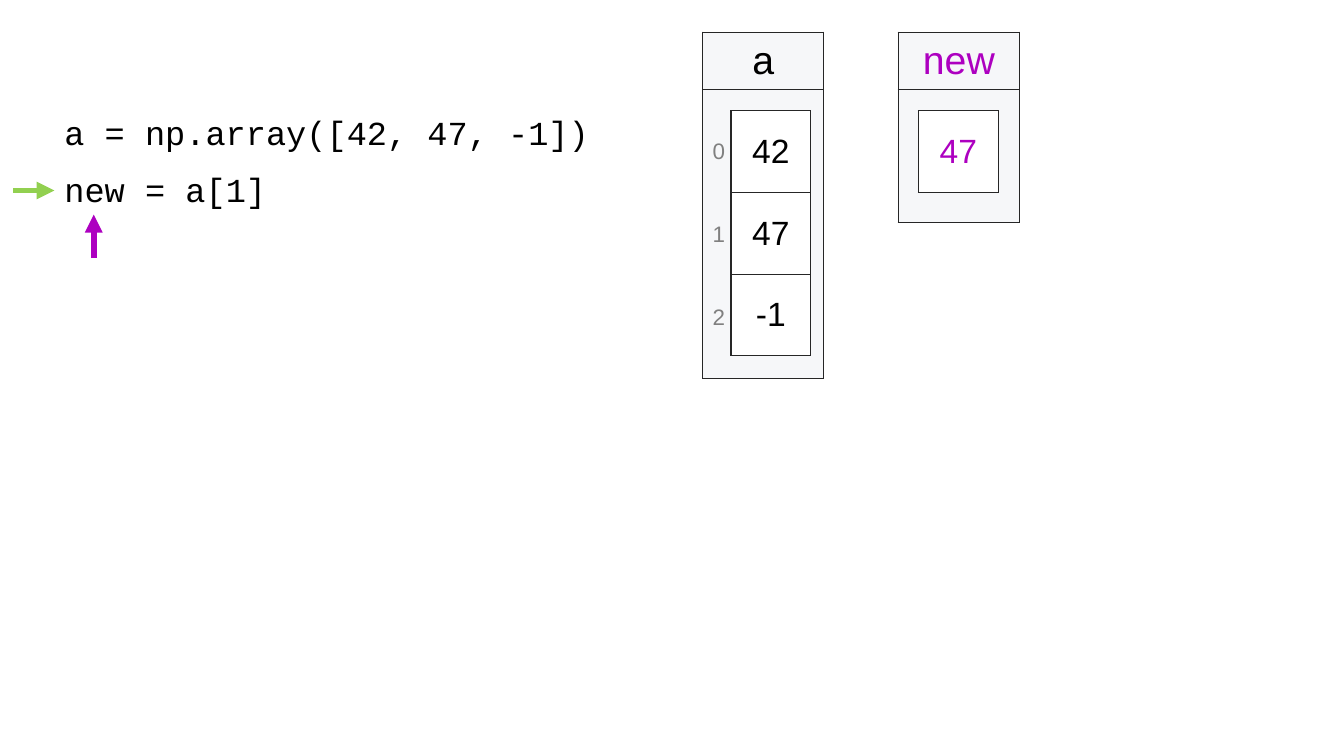
from lxml import etree
from pptx import Presentation
from pptx.dml.color import RGBColor
from pptx.enum import shapes, text
from pptx.oxml import ns
from pptx.util import Inches, Pt

BLACK = RGBColor(0x00, 0x00, 0x00)
WHITE = RGBColor(0xFF, 0xFF, 0xFF)
PANEL = RGBColor(0xF6, 0xF7, 0xF9)
BORDER = RGBColor(0x26, 0x26, 0x26)
GRAY = RGBColor(0x80, 0x80, 0x80)
GREEN = RGBColor(0x92, 0xD0, 0x50)
PURPLE = RGBColor(0xAD, 0x00, 0xC0)

CODE_LINES = [("a = np.array([42, 47, -1])", 5.44), ("new = a[1]", 2.22)]
# name, values, colour, panel left, values left, panel row heights, show indices
VARIABLES = [
    ("a", ["42", "47", "-1"], BLACK, 6.97, 7.25, [0.55, 2.87], True),
    ("new", ["47"], PURPLE, 8.91, 9.11, [0.57, 1.32], False),
]
# start, end, colour
ARROWS = [
    ((0.13, 1.89), (0.54, 1.89), GREEN),
    ((0.93, 2.56), (0.93, 2.13), PURPLE),
]

CODE_LEFT, CODE_TOP, CODE_STEP, CODE_HEIGHT = 0.54, 1.06, 0.57, 0.5
PANEL_TOP, PANEL_WIDTH = 0.32, 1.2
VALUES_TOP, VALUE_WIDTH, VALUE_HEIGHT = 1.1, 0.79, 0.81
INDEX_TOP, INDEX_STEP, INDEX_WIDTH, INDEX_HEIGHT = 1.31, 0.825, 0.35, 0.37


def write(frame, content, size, color, name="Arial"):
    frame.text = content
    font = frame.paragraphs[0].runs[0].font
    for key, value in {"size": Pt(size), "name": name, "bold": False}.items():
        setattr(font, key, value)
    font.color.rgb = color


def add_label(slide, content, box, size, color, name="Arial", wrap=True):
    frame = slide.shapes.add_textbox(*map(Inches, box)).text_frame
    frame.word_wrap = wrap
    write(frame, content, size, color, name)


def add_borders(cell):
    properties = cell._tc.get_or_add_tcPr()
    for position, side in enumerate(("lnL", "lnR", "lnT", "lnB")):
        line = etree.Element(ns.qn(f"a:{side}"), w=str(Pt(1)))
        fill = etree.SubElement(line, ns.qn("a:solidFill"))
        etree.SubElement(fill, ns.qn("a:srgbClr"), val=str(BORDER))
        properties.insert(position, line)


def add_column(slide, left, top, width, heights, contents, size, color, fill):
    """Add a one-column bordered table; an empty content leaves its cell blank."""
    box = map(Inches, (left, top, width, sum(heights)))
    table = slide.shapes.add_table(len(heights), 1, *box).table
    table.first_row = table.horz_banding = False
    for row, (height, content) in enumerate(zip(heights, contents)):
        table.rows[row].height = Inches(height)
        cell = table.cell(row, 0)
        cell.fill.solid()
        cell.fill.fore_color.rgb = fill
        add_borders(cell)
        if content:
            write(cell.text_frame, content, size, color)
            cell.vertical_anchor = text.MSO_ANCHOR.MIDDLE
            cell.text_frame.paragraphs[0].alignment = text.PP_ALIGN.CENTER


def add_arrow(slide, start, end, color):
    arrow = slide.shapes.add_connector(
        shapes.MSO_CONNECTOR.STRAIGHT, *map(Inches, start + end))
    arrow.line.color.rgb = color
    arrow.line.width = Pt(4.25)
    etree.SubElement(arrow.line._get_or_add_ln(), ns.qn("a:tailEnd"), type="triangle")
    etree.SubElement(arrow._element.spPr, ns.qn("a:effectLst"))


def main():
    presentation = Presentation()
    presentation.slide_width = Inches(13.33)
    presentation.slide_height = Inches(7.5)
    slide = presentation.slides.add_slide(presentation.slide_layouts[6])

    for row, (code, width) in enumerate(CODE_LINES):
        box = (CODE_LEFT, CODE_TOP + row * CODE_STEP, width, CODE_HEIGHT)
        add_label(slide, code, box, 24, BLACK, "Courier New", wrap=False)

    for name, values, color, left, values_left, heights, indexed in VARIABLES:
        add_column(slide, left, PANEL_TOP, PANEL_WIDTH, heights,
                   [name, ""], 28, color, PANEL)
        add_column(slide, values_left, VALUES_TOP, VALUE_WIDTH,
                   [VALUE_HEIGHT] * len(values), values, 24, color, WHITE)
        for index in range(len(values) if indexed else 0):
            box = (left, INDEX_TOP + index * INDEX_STEP, INDEX_WIDTH, INDEX_HEIGHT)
            add_label(slide, str(index), box, 16, GRAY)

    for start, end, color in ARROWS:
        add_arrow(slide, start, end, color)

    presentation.save("out.pptx")


if __name__ == "__main__":
    main()
